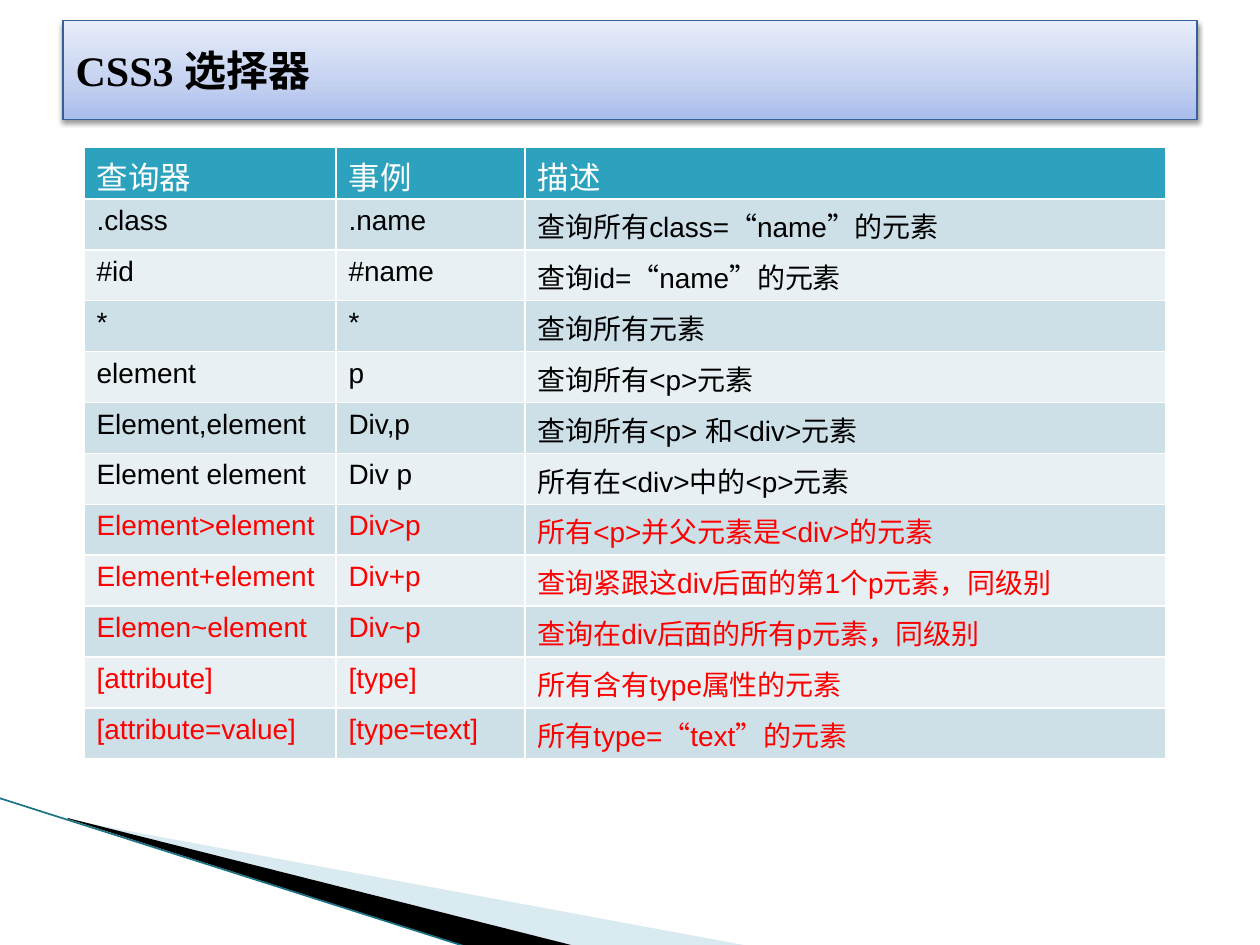
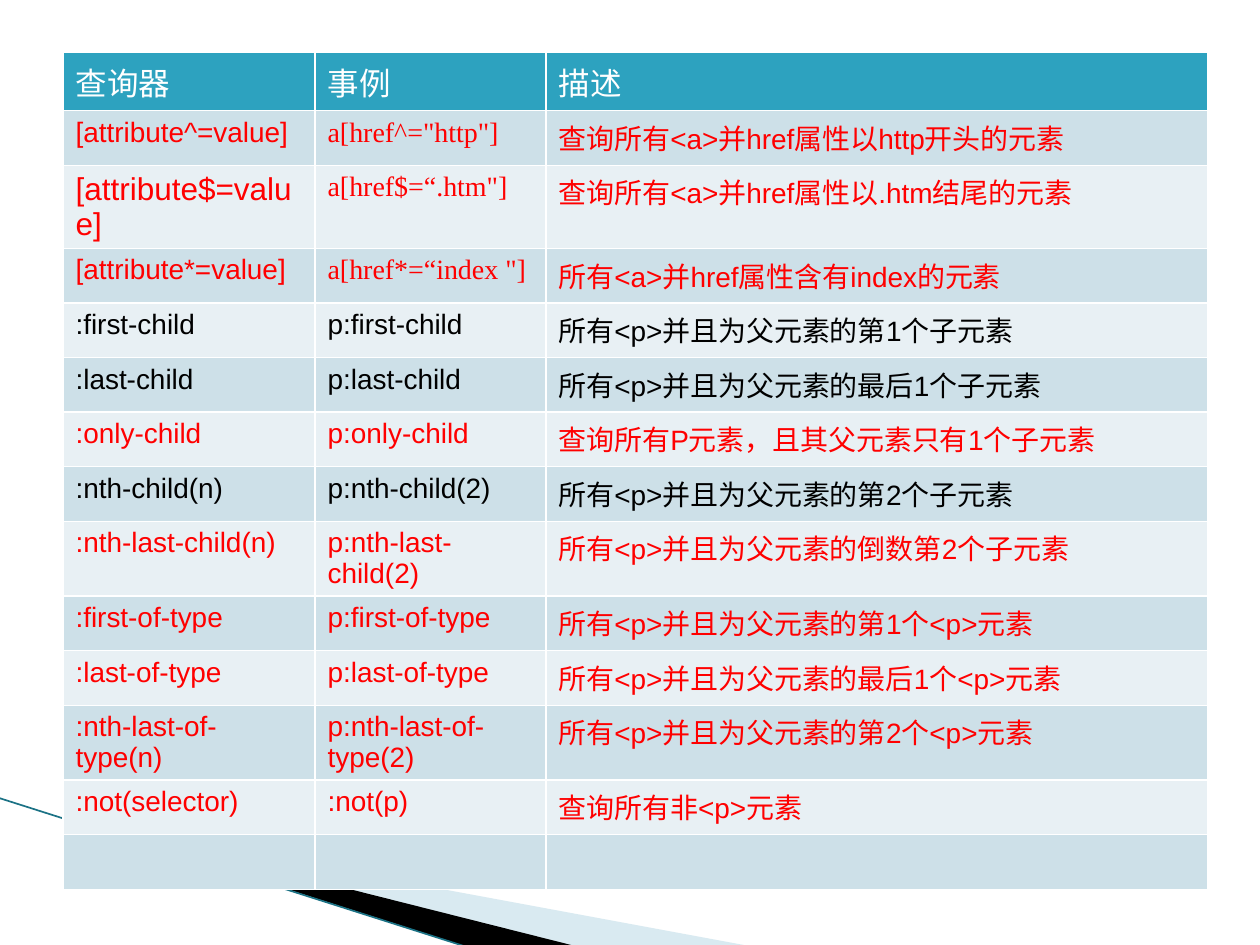
"""Build two slides that list the CSS3 selectors in tables."""
from copy import deepcopy

from pptx import Presentation
from pptx.dml.color import RGBColor
from pptx.enum.lang import MSO_LANGUAGE_ID as LANG
from pptx.enum.shapes import MSO_CONNECTOR as CONN
from pptx.enum.text import MSO_ANCHOR as ANCHOR, MSO_AUTO_SIZE as AUTO, PP_ALIGN as ALIGN
from pptx.oxml import parse_xml
from pptx.oxml.ns import nsdecls
from pptx.util import Inches, Pt

WHITE, BLACK, RED = "FFFFFF", "000000", "FF0000"
HEAD, BANDS = "2DA2BF", ("E8F0F4", "CDE0E8")
PALE, EDGE, TITLE_EDGE = "A0CBDC", "1B7285", "35609C"
TITLE_STOPS = ((0, "A9BCEC"), (0.35, "C3D0F0"), (1, "E8EDFA"))
SANS, SERIF = "Arial", "Times New Roman"
HEADINGS = ("查询器", "事例", "描述")


def rgb(hex_text):
    """Turn a hex string into a colour."""
    return RGBColor.from_string(hex_text)


def style(obj, values):
    """Set each attribute in a dict of format values."""
    for name, value in values.items():
        setattr(obj, name, value)


prs = Presentation()
style(prs, {"slide_width": Inches(10), "slide_height": Inches(7.5)})
u = prs.slide_width / 120

tables = [
    {"layout": 5, "title": "CSS3 选择器", "left": 8, "top": 14, "cols": (24, 18, 61),
     "head": 4.7, "row": 4.85, "margin": 0, "black": {1, 2, 3, 4, 5, 6}, "rows": [
         (".class", ".name", "查询所有class=“name”的元素"),
         ("#id", "#name", "查询id=“name”的元素"),
         ("*", "*", "查询所有元素"),
         ("element", "p", "查询所有<p>元素"),
         ("Element,element", "Div,p", "查询所有<p> 和<div>元素"),
         ("Element element", "Div p", "所有在<div>中的<p>元素"),
         ("Element>element", "Div>p", "所有<p>并父元素是<div>的元素"),
         ("Element+element", "Div+p", "查询紧跟这div后面的第1个p元素，同级别"),
         ("Elemen~element", "Div~p", "查询在div后面的所有p元素，同级别"),
         ("[attribute]", "[type]", "所有含有type属性的元素"),
         ("[attribute=value]", "[type=text]", "所有type=“text”的元素"),
     ]},
    {"layout": 6, "title": None, "left": 6, "top": 5, "cols": (24, 22, 63),
     "head": 5.2, "row": 5.2, "margin": Inches(0.05), "black": {4, 5, 7}, "rows": [
         ("[attribute^=value]", 'a[href^="http"]', "查询所有<a>并href属性以http开头的元素"),
         ("[attribute$=value]", 'a[href$=“.htm"]', "查询所有<a>并href属性以.htm结尾的元素"),
         ("[attribute*=value]", 'a[href*=“index "]', "所有<a>并href属性含有index的元素"),
         (":first-child", "p:first-child", "所有<p>并且为父元素的第1个子元素"),
         (":last-child", "p:last-child", "所有<p>并且为父元素的最后1个子元素"),
         (":only-child", "p:only-child", "查询所有P元素，且其父元素只有1个子元素"),
         (":nth-child(n)", "p:nth-child(2)", "所有<p>并且为父元素的第2个子元素"),
         (":nth-last-child(n)", "p:nth-last-child(2)", "所有<p>并且为父元素的倒数第2个子元素"),
         (":first-of-type", "p:first-of-type", "所有<p>并且为父元素的第1个<p>元素"),
         (":last-of-type", "p:last-of-type", "所有<p>并且为父元素的最后1个<p>元素"),
         (":nth-last-of-type(n)", "p:nth-last-of-type(2)", "所有<p>并且为父元素的第2个<p>元素"),
         (":not(selector)", ":not(p)", "查询所有非<p>元素"),
         ("", "", ""),
     ]},
]

for t in tables:
    s = prs.slides.add_slide(prs.slide_layouts[t["layout"]])

    if t["title"]:
        sp = s.shapes.title
        style(sp, {"left": int(6 * u), "top": int(1.95 * u),
                   "width": int(108 * u), "height": int(9.4 * u)})
        sp.fill.gradient()
        sp.fill.gradient_angle = 90
        stops = sp.element.xpath(".//a:gsLst")[0]
        stops.append(deepcopy(stops[0]))
        for stop, (position, colour) in zip(sp.fill.gradient_stops, TITLE_STOPS):
            stop.position = position
            stop.color.rgb = rgb(colour)
        sp.line.color.rgb = rgb(TITLE_EDGE)
        sp.line.width = Pt(0.75)
        sp.shadow.inherit = False
        sp.element.xpath(".//a:effectLst")[0].append(parse_xml(
            f'<a:outerShdw {nsdecls("a")} blurRad="{Pt(3.1)}" dist="{Pt(1.6)}" dir="5400000" '
            f'rotWithShape="0"><a:srgbClr val="{BLACK}"><a:alpha val="38000"/></a:srgbClr>'
            '</a:outerShdw>'))
        tf = sp.text_frame
        style(tf, {"text": t["title"], "vertical_anchor": ANCHOR.MIDDLE,
                   "auto_size": AUTO.NONE, "word_wrap": True})
        p = tf.paragraphs[0]
        p.alignment = ALIGN.LEFT
        r = p.runs[0]
        style(r.font, {"name": SERIF, "size": Pt(24), "bold": True,
                       "language_id": LANG.SIMPLIFIED_CHINESE})
        r.font.color.rgb = rgb(BLACK)

    rows = [HEADINGS] + t["rows"]
    heights = [t["head"]] + [t["row"]] * len(t["rows"])
    tbl = s.shapes.add_table(len(rows), len(HEADINGS), int(t["left"] * u), int(t["top"] * u),
                             int(sum(t["cols"]) * u), int(sum(heights) * u)).table
    for col, width in zip(tbl.columns, t["cols"]):
        col.width = int(width * u)
    for i, texts in enumerate(rows):
        tbl.rows[i].height = int(heights[i] * u)
        for j, text in enumerate(texts):
            cell = tbl.cell(i, j)
            cell.margin_bottom = t["margin"]
            cell.fill.solid()
            cell.fill.fore_color.rgb = rgb(BANDS[i % 2] if i else HEAD)
            if not text:
                continue
            r = cell.text_frame.paragraphs[0].add_run()
            r.text = text
            large = i == 0 or text == "[attribute$=value]"
            style(r.font, {"name": SERIF if text.startswith("a[") else SANS,
                           "size": Pt(18 if large else 16), "bold": False,
                           "language_id": LANG.SIMPLIFIED_CHINESE})
            r.font.color.rgb = rgb(WHITE if i == 0 else BLACK if i in t["black"] else RED)

wedges = [
    (PALE, (9.36, 65.64, 49.92, 18.96),
     ((6.6, 78.1), (71.4, 90.1), (54.7, 90.1), (6.6, 78))),
    (BLACK, (-0.72, 75.96, 49.92, 11.04),
     ((6.4, 77.9), (54.8, 90.1), (44.6, 90.2), (6.5, 78))),
]
s = prs.slides[0]
decor = []
for colour, frame, points in wedges:
    start, *rest = [(x * u, y * u) for x, y in points]
    builder = s.shapes.build_freeform(*start)
    builder.add_line_segments(rest, close=True)
    sp = builder.convert_to_shape()
    left, top, width, height = [int(n * u) for n in frame]
    dx, dy = sp.left - left, sp.top - top
    for pt in sp.element.xpath(".//a:pt"):
        pt.set("x", str(int(pt.get("x")) + dx))
        pt.set("y", str(int(pt.get("y")) + dy))
    outline = sp.element.xpath(".//a:path")[0]
    outline.set("w", str(width))
    outline.set("h", str(height))
    style(sp, {"left": left, "top": top, "width": width, "height": height})
    sp.fill.solid()
    sp.fill.fore_color.rgb = rgb(colour)
    sp.line.fill.background()
    sp.shadow.inherit = False
    if colour == PALE:
        sp.element.xpath("./p:spPr//a:srgbClr")[0].append(
            parse_xml(f'<a:alpha {nsdecls("a")} val="40000"/>'))
    decor.append(sp.element)
line = s.shapes.add_connector(CONN.STRAIGHT, *[int(n * u) for n in (-0.1, 76, 44.5, 90.2)])
line.line.color.rgb = rgb(EDGE)
line.line.width = Pt(0.95)
line.element.spPr.append(parse_xml(f'<a:effectLst {nsdecls("a")}/>'))
decor.append(line.element)

tree = prs.slide_master.shapes.element
for n, el in enumerate(decor):
    el.xpath(".//p:cNvPr")[0].set("id", str(101 + n))
    tree.insert(2 + n, el)

prs.save("out.pptx")
